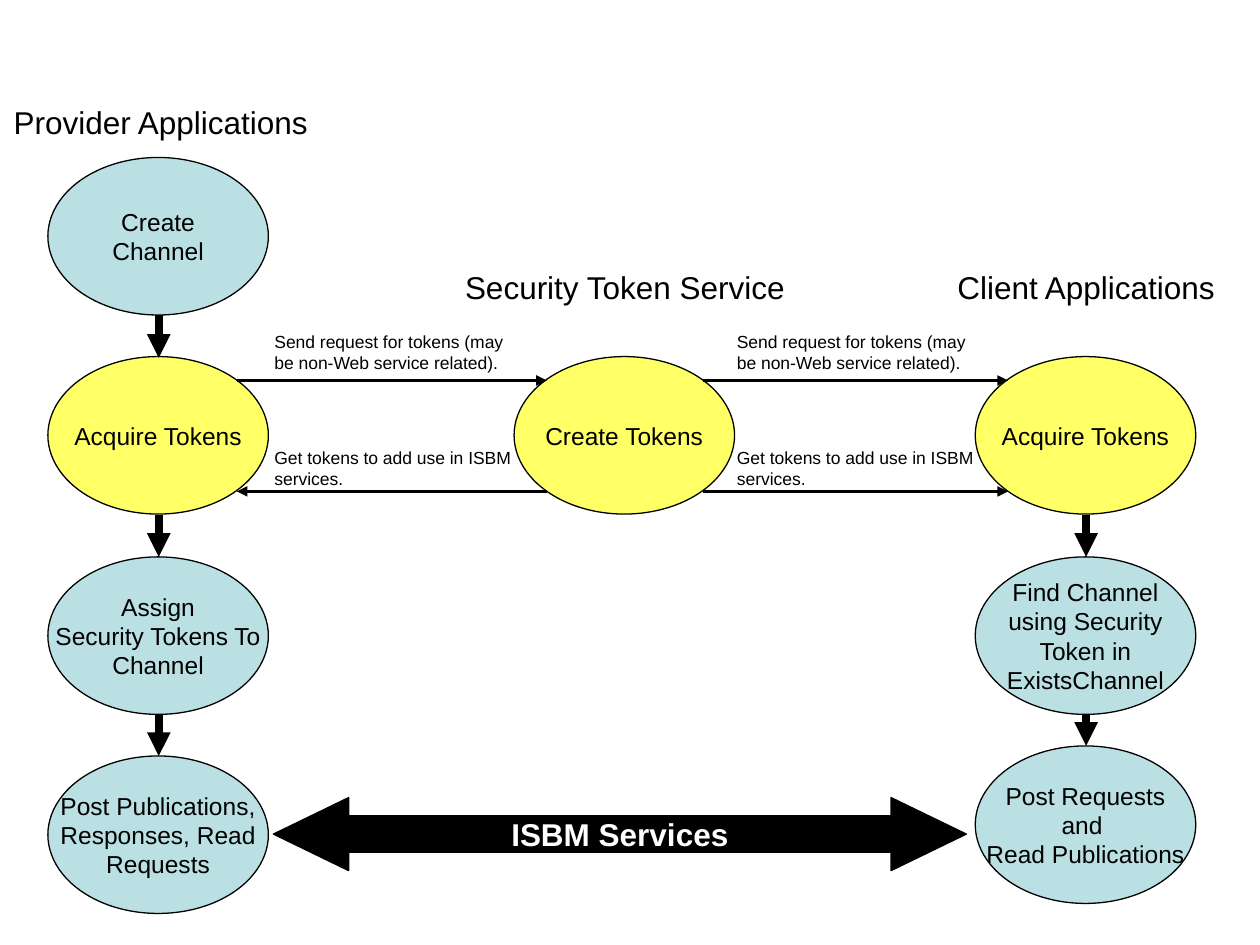
import pptx
import pptx.util
import pptx.dml.color
import pptx.enum.shapes
import pptx.enum.text
import pptx.oxml.ns
import lxml.etree

Inches, Pt = pptx.util.Inches, pptx.util.Pt
SHAPE = pptx.enum.shapes.MSO_SHAPE
ALIGN = pptx.enum.text.PP_ALIGN
ANCHOR = pptx.enum.text.MSO_ANCHOR
rgb = pptx.dml.color.RGBColor.from_string
qn = pptx.oxml.ns.qn

theme = {
    "font": "Arial", "ink": rgb("000000"), "light": rgb("FFFFFF"),
    "step": rgb("BBE0E3"), "token": rgb("FFFF66"),
    "heading": 18, "label": 14, "note": 10,
    "outline": 0.75, "flow": 4.5, "message": 2,
}

deck = pptx.Presentation()
deck.slide_width, deck.slide_height = Inches(10), Inches(7.5)
page = deck.slides.add_slide(deck.slide_layouts[6])


def write(box, lines, size, color="ink", bold=False, align=ALIGN.CENTER, wrap=False):
    frame = box.text_frame
    frame.word_wrap = wrap
    for index, line in enumerate(lines):
        para = frame.paragraphs[0] if index == 0 else frame.add_paragraph()
        para.alignment = align
        span = para.add_run()
        span.text = line
        span.font.name, span.font.size = theme["font"], Pt(theme[size])
        span.font.color.rgb, span.font.bold = theme[color], bold


def add_block(kind, left, top, width, height, fill):
    block = page.shapes.add_shape(kind, Inches(left), Inches(top), Inches(width), Inches(height))
    block.shadow.inherit = False
    block.fill.solid()
    block.fill.fore_color.rgb = theme[fill]
    block.line.color.rgb, block.line.width = theme["ink"], Pt(theme["outline"])
    block.text_frame.vertical_anchor = ANCHOR.MIDDLE
    return block


# Columns and the shared ellipse size
provider, service, client = 0.38, 4.08, 7.74
oval_width, oval_height = 1.75, 1.25
token_top = 2.83

# Column headings
for left, top, width, text in [
    (0, 0.77, 2.55, "Provider Applications"),
    (3.58, 2.08, 2.76, "Security Token Service"),
    (7.49, 2.08, 2.26, "Client Applications"),
]:
    heading = page.shapes.add_textbox(Inches(left), Inches(top), Inches(width), Inches(0.4))
    write(heading, [text], "heading")

# Process steps
for left, top, fill, lines in [
    (provider, 1.25, "step", ["Create", "Channel"]),
    (provider, token_top, "token", ["Acquire Tokens"]),
    (provider, 4.42, "step", ["Assign", "Security Tokens To", "Channel"]),
    (provider, 6, "step", ["Post Publications,", "Responses, Read", "Requests"]),
    (service, token_top, "token", ["Create Tokens"]),
    (client, token_top, "token", ["Acquire Tokens"]),
    (client, 4.42, "step", ["Find Channel", "using Security", "Token in", "ExistsChannel"]),
    (client, 5.92, "step", ["Post Requests", "and ", "Read Publications"]),
]:
    oval = add_block(SHAPE.OVAL, left, top, oval_width, oval_height, fill)
    write(oval, lines, "label")

# Two-way services arrow
services = add_block(SHAPE.LEFT_RIGHT_ARROW, 2.17, 6.33, 5.5, 0.58, "ink")
services.adjustments[0], services.adjustments[1] = 0.5, 1.03
write(services, ["ISBM Services"], "heading", "light", bold=True)

# Downward flow and token messages
provider_x, client_x = 1.26, 8.62
request_y, reply_y = 3.02, 3.9
for x1, y1, x2, y2, weight in [
    (provider_x, 2.5, provider_x, 2.84, "flow"),
    (provider_x, 4.09, provider_x, 4.42, "flow"),
    (provider_x, 5.67, provider_x, 6, "flow"),
    (client_x, 4.09, client_x, 4.42, "flow"),
    (client_x, 5.67, client_x, 5.92, "flow"),
    (1.88, request_y, 4.34, request_y, "message"),
    (4.34, reply_y, 1.88, reply_y, "message"),
    (5.58, request_y, 8, request_y, "message"),
    (5.58, reply_y, 8, reply_y, "message"),
]:
    arrow = page.shapes.add_connector(
        pptx.enum.shapes.MSO_CONNECTOR.STRAIGHT, Inches(x1), Inches(y1), Inches(x2), Inches(y2))
    arrow.line.color.rgb, arrow.line.width = theme["ink"], Pt(theme[weight])
    lxml.etree.SubElement(arrow.line._get_or_add_ln(), qn("a:tailEnd"), type="triangle")
    lxml.etree.SubElement(arrow._element.spPr, qn("a:effectLst"))

# Message notes, repeated on both sides of the service
for left in (2.08, 5.75):
    for top, text in [
        (2.58, "Send request for tokens (may be non-Web service related)."),
        (3.5, "Get tokens to add use in ISBM services."),
    ]:
        note = page.shapes.add_textbox(Inches(left), Inches(top), Inches(2.17), Inches(0.44))
        write(note, [text], "note", align=ALIGN.LEFT, wrap=True)

deck.save("out.pptx")
